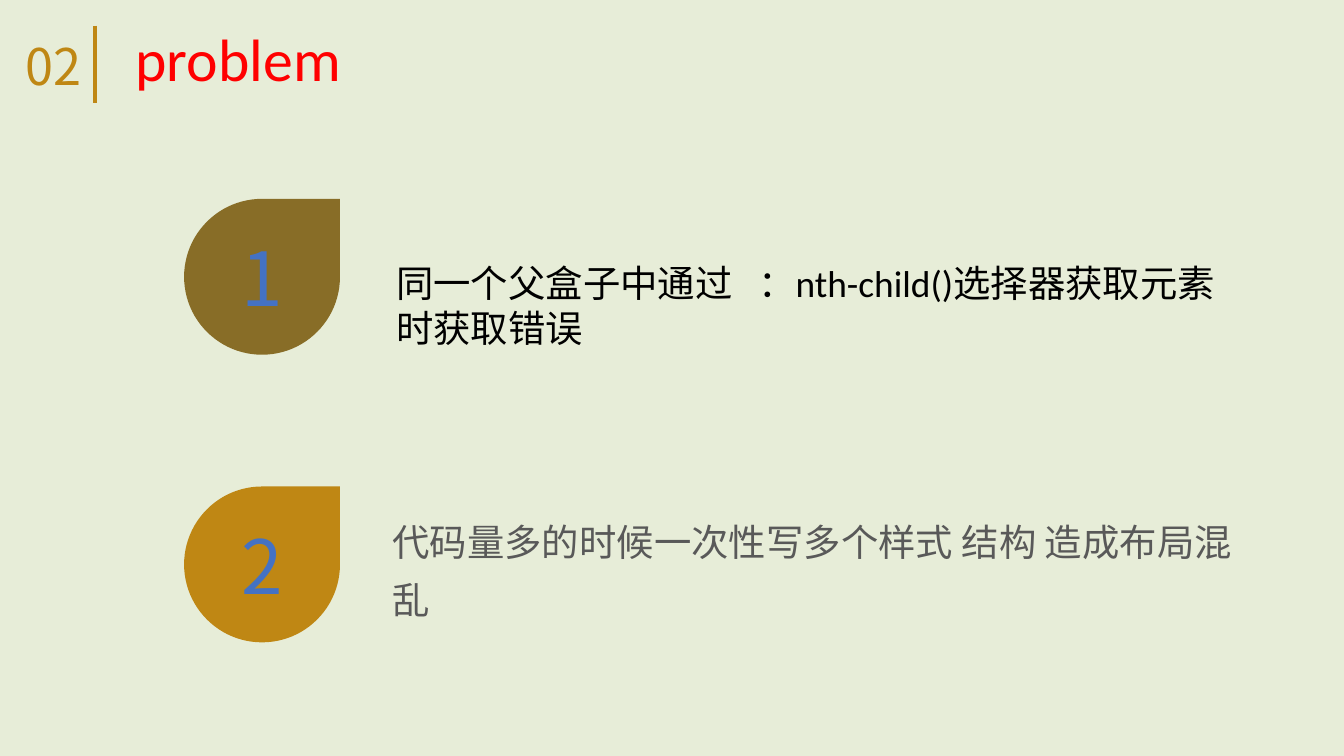
from dataclasses import dataclass

from lxml import etree
from pptx import Presentation
from pptx.dml.color import RGBColor
from pptx.enum.shapes import MSO_CONNECTOR, MSO_SHAPE
from pptx.enum.text import MSO_ANCHOR, MSO_AUTO_SIZE, PP_ALIGN
from pptx.oxml.ns import qn
from pptx.util import Inches, Pt

DROP = MSO_SHAPE.TEAR
LINE = MSO_CONNECTOR.STRAIGHT
MIDDLE = MSO_ANCHOR.MIDDLE
GROW = MSO_AUTO_SIZE.SHAPE_TO_FIT_TEXT
FIXED = MSO_AUTO_SIZE.NONE
CENTER = PP_ALIGN.CENTER

WIDE = 10
HIGH = WIDE * 9 / 16
LATIN, HAN = "Calibri", "Noto Sans CJK SC"
COLORS = {
    "back": "E7EDD8", "gold": "BF8714", "olive": "886D27", "blue": "4472C4",
    "white": "FFFFFF", "red": "FF0000", "orange": "ED7D31",
    "gray": "595959", "black": "000000",
}


@dataclass
class Style:
    size: float
    color: str
    face: str = HAN
    edge: str = ""
    width: float = 0


@dataclass
class Label:
    text: str
    box: tuple[float, float, float, float]
    style: Style
    pad: tuple[float, float] = (0.1, 0.05)
    wrap: bool = True
    space: float = 1.0


@dataclass
class Badge:
    text: str
    top: float
    fill: str


NUMBER = Style(40, "blue", edge="white", width=0.75)
TIGHT = (0.07, 0.04)
LABELS = [
    Label("02", (0.12, 0.22, 0.6, 0.53), Style(27, "gold"), TIGHT, wrap=False),
    Label("代码量多的时候一次性写多个样式 结构 造成布局混乱",
          (2.85, 3.72, 6.64, 0.95), Style(20, "gray"), TIGHT, space=1.3),
    Label("problem", (0.91, 0.11, 2.21, 0.64),
          Style(32, "red", LATIN, "orange", 0.52)),
    Label("同一个父盒子中通过\t：nth-child()选择器获取元素时获取错误",
          (2.85, 1.89, 6.47, 0.77), Style(20, "black", LATIN)),
]
BADGES = [Badge("1", 1.48, "olive"), Badge("2", 3.62, "gold")]
LEFT, SIDE = 1.37, 1.16


def rgb(name: str) -> RGBColor:
    return RGBColor.from_string(COLORS[name])


def apply(item, values: dict) -> None:
    for name, value in values.items():
        setattr(item, name, value)


def add_run(para, text: str, style: Style):
    """Add a run with its Latin and Han faces and optional outline."""
    run = para.add_run()
    run.text = text
    apply(run.font, {"size": Pt(style.size), "name": style.face})
    run.font.color.rgb = rgb(style.color)
    props = run.font._element
    etree.SubElement(props, qn("a:ea"), typeface=HAN)
    if style.edge:
        edge = etree.Element(qn("a:ln"), w=str(Pt(style.width)))
        fill = etree.SubElement(edge, qn("a:solidFill"))
        etree.SubElement(fill, qn("a:srgbClr"), val=COLORS[style.edge])
        props.insert(0, edge)
    return run


def set_frame(frame, pad: tuple[float, float], values: dict) -> None:
    side, end = map(Inches, pad)
    apply(frame, {"margin_left": side, "margin_right": side,
                  "margin_top": end, "margin_bottom": end, **values})


def add_label(slide, label: Label) -> None:
    frame = slide.shapes.add_textbox(*map(Inches, label.box)).text_frame
    set_frame(frame, label.pad, {"word_wrap": label.wrap, "auto_size": GROW})
    para = frame.paragraphs[0]
    if label.space != 1:
        para.line_spacing = label.space
    # A tab marks a wide gap: one space with extra tracking
    head, gap, tail = label.text.partition("\t")
    add_run(para, head, label.style)
    if gap:
        add_run(para, " ", label.style).font._element.set("spc", "900")
        add_run(para, tail, label.style)


def add_badge(slide, badge: Badge) -> None:
    box = map(Inches, (LEFT, badge.top, SIDE, SIDE))
    shape = slide.shapes.add_shape(DROP, *box)
    shape.shadow.inherit = False
    shape.fill.solid()
    shape.fill.fore_color.rgb = rgb(badge.fill)
    shape.line.fill.background()
    set_frame(shape.text_frame, (0.06, 0.03),
              {"vertical_anchor": MIDDLE, "word_wrap": True,
               "auto_size": FIXED})
    para = shape.text_frame.paragraphs[0]
    para.alignment = CENTER
    add_run(para, badge.text, NUMBER)


def add_rule(slide, x: float, top: float, end: float) -> None:
    rule = slide.shapes.add_connector(LINE, *map(Inches, (x, top, x, end)))
    rule.line.color.rgb = rgb("gold")
    rule.line.width = Pt(2.25)
    etree.SubElement(rule._element.spPr, qn("a:effectLst"))


def main() -> None:
    deck = Presentation()
    apply(deck, {"slide_width": Inches(WIDE), "slide_height": Inches(HIGH)})
    slide = deck.slides.add_slide(deck.slide_layouts[6])
    slide.background.fill.solid()
    slide.background.fill.fore_color.rgb = rgb("back")

    # Header rule
    add_rule(slide, 0.71, 0.19, 0.77)

    # Numbered drops
    for badge in BADGES:
        add_badge(slide, badge)

    # Header and problem texts
    for label in LABELS:
        add_label(slide, label)

    deck.save("out.pptx")


if __name__ == "__main__":
    main()
